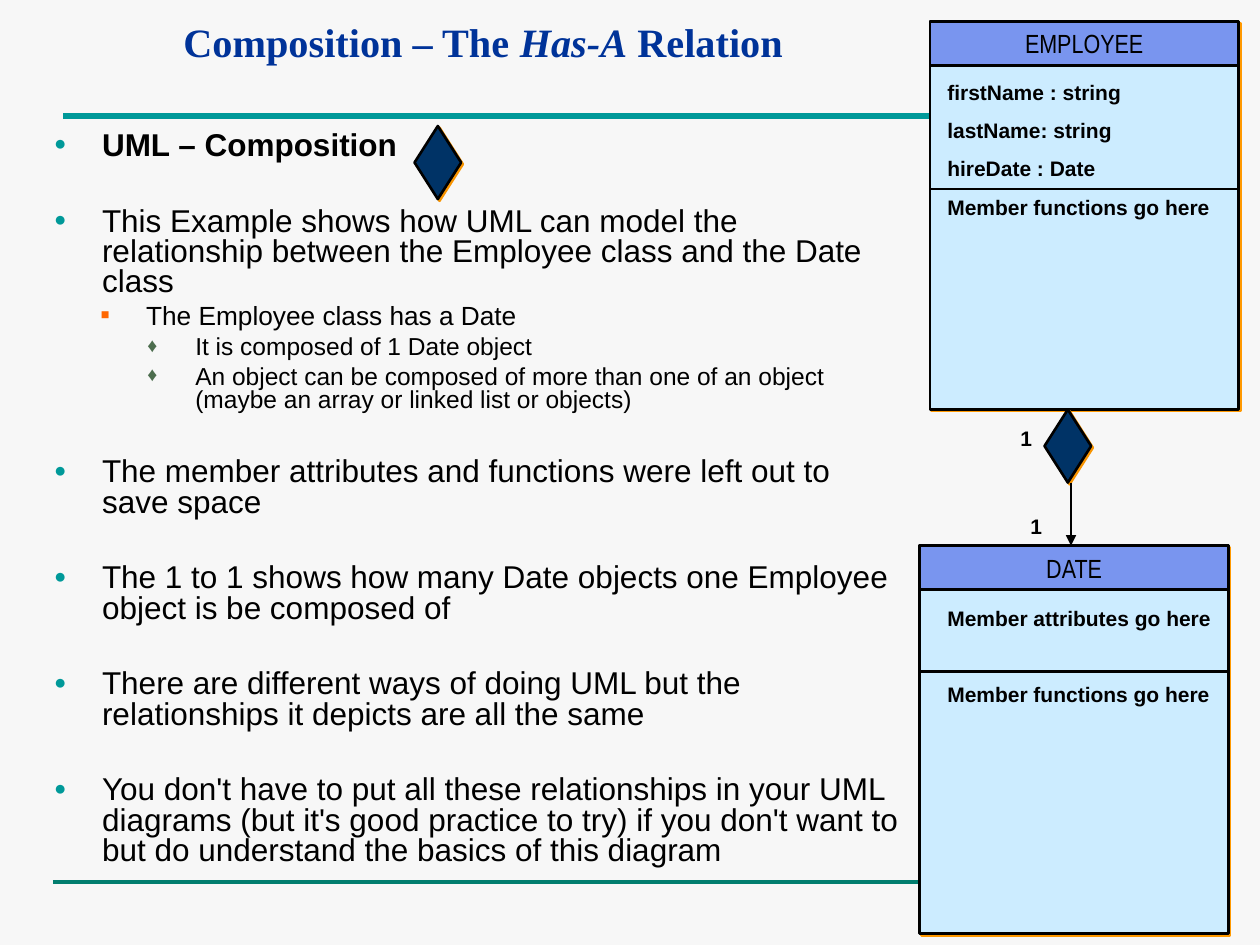
from lxml import etree
from pptx import Presentation
from pptx.dml.color import RGBColor
from pptx.enum import shapes, text
from pptx.oxml.ns import qn
from pptx.util import Inches, Pt

BACKGROUND = RGBColor(0xF7, 0xF7, 0xF7)
TITLE_BLUE = RGBColor(0x00, 0x33, 0x99)
TEAL = RGBColor(0x00, 0x99, 0x99)
DARK_TEAL = RGBColor(0x02, 0x7E, 0x6F)
ORANGE = RGBColor(0xFF, 0x66, 0x00)
GREEN = RGBColor(0x4C, 0x6D, 0x4E)
BLACK = RGBColor(0, 0, 0)
NAVY = RGBColor(0x00, 0x33, 0x66)
PALE_BLUE = RGBColor(0xCC, 0xEC, 0xFF)
HEADER_BLUE = RGBColor(0x79, 0x95, 0xEF)
BOX_SHADOW = RGBColor(0xFF, 0x99, 0x00)
DIAMOND_SHADOW = RGBColor(0xF8, 0x94, 0x00)

BOX_W, BOX_H, HEADER_H = 2.45, 3.08, 0.35
WIDE_GAP = 26  # points before a new main topic

# Per level: left margin, hanging indent, size, space before, bullet, colour, bullet %
LEVELS = [
    (0.38, 0.38, 18, 4.5, "●", TEAL, 65),
    (0.73, 0.36, 15, 3.7, "■", ORANGE, 55),
    (1.12, 0.38, 14, 3.5, "♦", GREEN, 80),
]
BODY = [
    (0, "UML – Composition"),
    (0, "This Example shows how UML can model the relationship between "
        "the Employee class and the Date class"),
    (1, "The Employee class has a Date"),
    (2, "It is composed of 1 Date object"),
    (2, "An object can be composed of more than one of an object "
        "(maybe an array or linked list or objects)"),
    (0, "The member attributes and functions were left out to save space"),
    (0, "The 1 to 1 shows how many Date objects one Employee object is be "
        "composed of"),
    (0, "There are different ways of doing UML but the relationships it "
        "depicts are all the same"),
    (0, "You don't have to put all these relationships in your UML diagrams "
        "(but it's good practice to try) if you don't want to but do "
        "understand the basics of this diagram"),
]


def place(sp, x, y, w, h):
    sp.left, sp.top, sp.width, sp.height = map(Inches, (x, y, w, h))


def set_font(font, name, size, color, bold=False):
    font.name, font.size, font.bold = name, Pt(size), bold
    font.color.rgb = color


def add_line(s, x1, y1, x2, y2, color=BLACK, width=1.5, arrow=False):
    line = s.shapes.add_connector(
        shapes.MSO_CONNECTOR.STRAIGHT, *map(Inches, (x1, y1, x2, y2)))
    line.line.color.rgb = color
    line.line.width = Pt(width)
    if arrow:
        etree.SubElement(line.line._get_or_add_ln(), qn("a:tailEnd"), type="triangle")
    etree.SubElement(line._element.spPr, qn("a:effectLst"))


def add_frame_rule(s):
    """Teal rule under the title that turns up at the right."""
    builder = s.shapes.build_freeform(Inches(9.5), Inches(0.25))
    builder.add_line_segments(
        [(Inches(9.5), Inches(0.92)), (Inches(0.5), Inches(0.92))], close=False)
    sp = builder.convert_to_shape()
    sp.shadow.inherit = False
    sp.fill.background()
    sp.line.color.rgb = TEAL
    sp.line.width = Pt(3.5)


def add_filled(s, kind, x, y, w, h, fill, shadow=None):
    sp = s.shapes.add_shape(kind, *map(Inches, (x, y, w, h)))
    sp.shadow.inherit = False
    sp.fill.solid()
    sp.fill.fore_color.rgb = fill
    sp.line.color.rgb = BLACK
    sp.line.width = Pt(1.5)
    if shadow is not None:
        effects = sp._element.spPr.find(qn("a:effectLst"))
        outer = etree.SubElement(
            effects, qn("a:outerShdw"), blurRad="0", dist=str(Pt(1.4)),
            dir="2700000", algn="ctr", rotWithShape="0")
        etree.SubElement(outer, qn("a:srgbClr"), val=str(shadow))
    return sp


def add_diamond(s, x, y):
    add_filled(s, shapes.MSO_SHAPE.DIAMOND, x, y, 0.37, 0.58, NAVY, DIAMOND_SHADOW)


def add_members(s, x, y, w, h, lines, gap=7.5):
    tf = s.shapes.add_textbox(*map(Inches, (x, y, w, h))).text_frame
    tf.word_wrap = True
    tf.text = "\n".join(lines)
    for i, p in enumerate(tf.paragraphs):
        p.space_before = Pt(gap if i else 0)
        set_font(p.font, "Arial", 12, BLACK, True)


def add_class_box(s, x, y, name, divider_y):
    rect = shapes.MSO_SHAPE.RECTANGLE
    add_filled(s, rect, x, y, BOX_W, BOX_H, PALE_BLUE, BOX_SHADOW)
    header = add_filled(s, rect, x, y, BOX_W, HEADER_H, HEADER_BLUE)
    tf = header.text_frame
    tf.text = name
    tf.vertical_anchor = text.MSO_ANCHOR.MIDDLE
    p = tf.paragraphs[0]
    p.alignment = text.PP_ALIGN.CENTER
    set_font(p.font, "Arial Narrow", 15, BLACK)
    add_line(s, x, divider_y, x + BOX_W, divider_y)


def fill_title(sp):
    place(sp, 0.5, 0.08, 6.67, 0.5)
    tf = sp.text_frame
    tf.auto_size = text.MSO_AUTO_SIZE.NONE
    tf.vertical_anchor = text.MSO_ANCHOR.MIDDLE
    p = tf.paragraphs[0]
    p.alignment = text.PP_ALIGN.CENTER
    set_font(p.font, "Times New Roman", 23, TITLE_BLUE, True)
    for words, italic in (("Composition – The ", False), ("Has-A", True),
                          (" Relation", False)):
        r = p.add_run()
        r.text = words
        r.font.italic = italic


def set_bullet(p, margin, hang, char, color, percent):
    pPr = p._p.get_or_add_pPr()
    pPr.set("marL", str(Inches(margin)))
    pPr.set("indent", str(-Inches(hang)))
    clr = etree.Element(qn("a:buClr"))
    etree.SubElement(clr, qn("a:srgbClr"), val=str(color))
    size = etree.Element(qn("a:buSzPct"), val=str(percent * 1000))
    font = etree.Element(qn("a:buFont"), typeface="Arial")
    bullet = etree.Element(qn("a:buChar"), char=char)
    at = 2  # after line spacing and space before
    pPr[at:at] = [clr, size, font, bullet]


def fill_body(sp):
    place(sp, 0.33, 1, 6.92, 6.33)
    tf = sp.text_frame
    tf.auto_size = text.MSO_AUTO_SIZE.NONE
    tf.text = "\n".join(words for _, words in BODY)
    for i, (p, (level, _)) in enumerate(zip(tf.paragraphs, BODY)):
        margin, hang, size, gap, char, color, percent = LEVELS[level]
        p.level = level
        p.line_spacing = 0.8
        p.space_before = Pt(WIDE_GAP if i and level == 0 else gap)
        set_bullet(p, margin, hang, char, color, percent)
        set_font(p.font, "Arial", size, BLACK, bold=i == 0)


def main():
    prs = Presentation()
    prs.slide_width, prs.slide_height = Inches(10), Inches(7.5)
    s = prs.slides.add_slide(prs.slide_layouts[1])
    s.background.fill.solid()
    s.background.fill.fore_color.rgb = BACKGROUND

    add_frame_rule(s)
    add_line(s, 0.42, 7, 9.58, 7, DARK_TEAL, 2.25)
    fill_title(s.shapes.title)
    fill_body(s.placeholders[1])
    add_diamond(s, 3.29, 1)

    add_class_box(s, 7.38, 0.17, "EMPLOYEE", 1.5)
    add_members(s, 7.42, 0.58, 2.49, 1.9, [
        "firstName : string", "lastName: string", "hireDate : Date",
        "Member functions go here"])
    add_class_box(s, 7.3, 4.33, "DATE", 5.33)
    add_members(s, 7.42, 4.76, 2.49, 1.6, [
        "Member attributes go here", "Member functions go here"], gap=29)

    add_diamond(s, 8.29, 3.25)
    add_line(s, 8.5, 3.83, 8.5, 4.33, width=0.75, arrow=True)
    for x, y in ((8, 3.33), (8.08, 4.03)):
        add_members(s, x, y, 0.33, 0.3, ["1"])
    prs.save("out.pptx")


if __name__ == "__main__":
    main()
